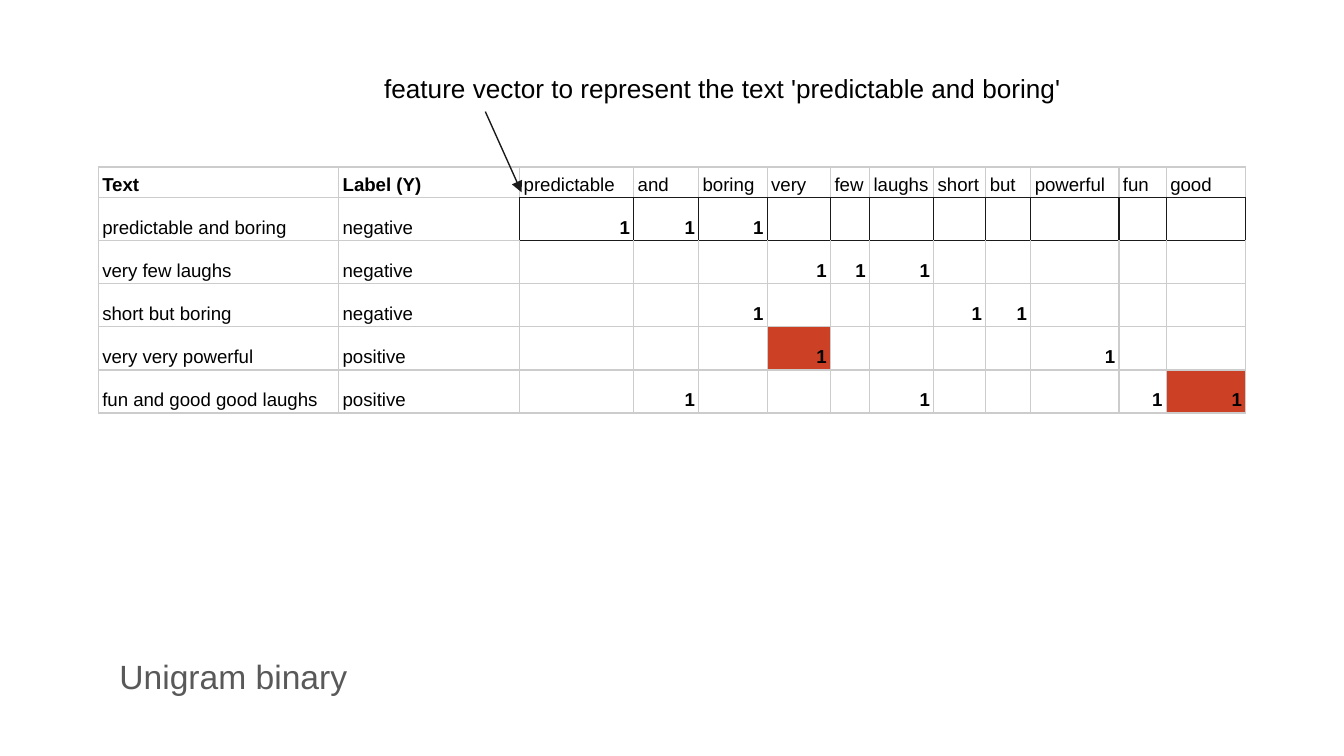
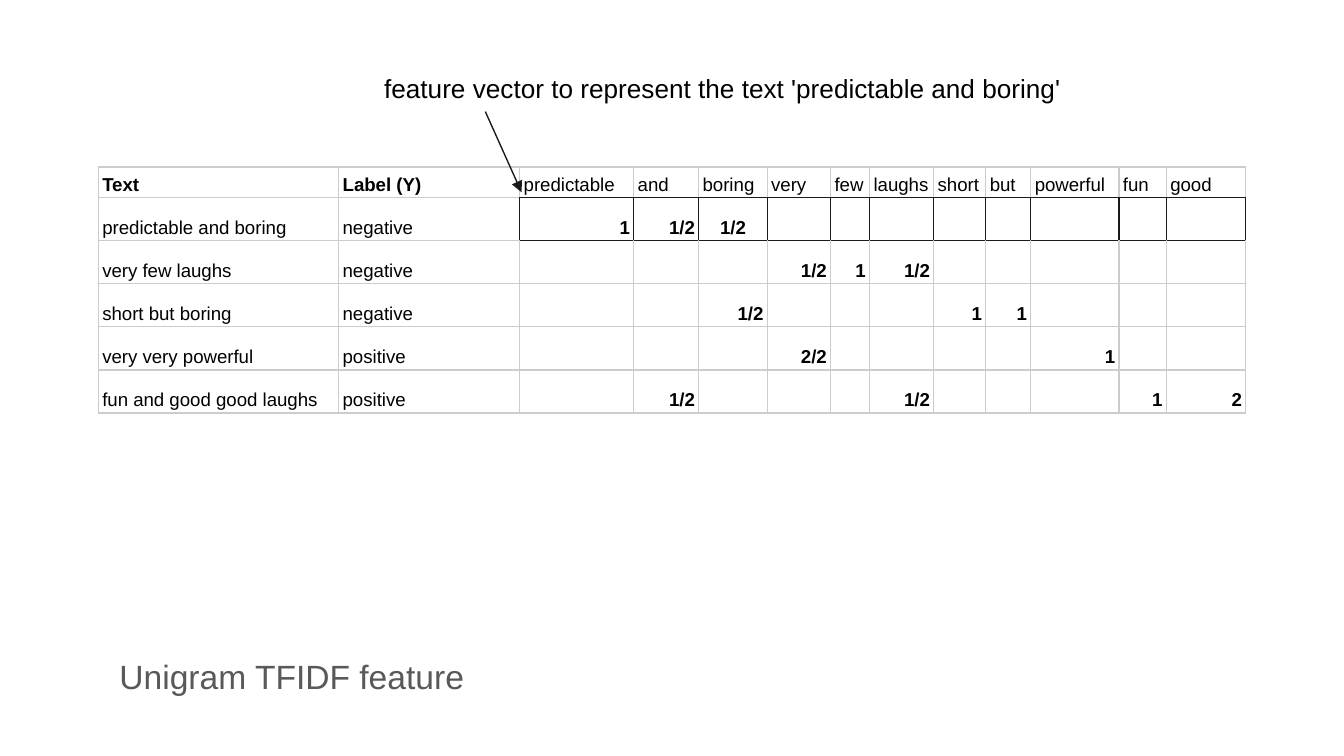
from dataclasses import dataclass

from lxml.etree import SubElement
from pptx import Presentation
from pptx.dml.color import RGBColor as RGB
from pptx.enum.shapes import MSO_CONNECTOR as Link
from pptx.enum.text import MSO_ANCHOR as Anchor, MSO_AUTO_SIZE as Fit, PP_ALIGN as Align
from pptx.oxml import parse_xml
from pptx.oxml.ns import nsdecls, qn
from pptx.util import Pt

# Content
NOTE = "feature vector to represent the text 'predictable and boring'"
HEADS = ["Text", "Label (Y)"]
WORDS = ["predictable", "and", "boring", "very", "few", "laughs",
         "short", "but", "powerful", "fun", "good"]
TEXTS = [
    ("predictable and boring", "negative"),
    ("very few laughs", "negative"),
    ("short but boring", "negative"),
    ("very very powerful", "positive"),
    ("fun and good good laughs", "positive"),
]
# One dict of weights per text; "red" and "mid" list (text row, word) cells
SLIDES = [
    {
        "title": "Unigram binary",
        "weights": [
            {"predictable": "1", "and": "1", "boring": "1"},
            {"very": "1", "few": "1", "laughs": "1"},
            {"boring": "1", "short": "1", "but": "1"},
            {"very": "1", "powerful": "1"},
            {"and": "1", "laughs": "1", "fun": "1", "good": "1"},
        ],
        "red": {(4, "very"), (5, "good")},
        "mid": set(),
    },
    {
        "title": "Unigram TFIDF feature",
        "weights": [
            {"predictable": "1", "and": "1/2", "boring": "1/2"},
            {"very": "1/2", "few": "1", "laughs": "1/2"},
            {"boring": "1/2", "short": "1", "but": "1"},
            {"very": "2/2", "powerful": "1"},
            {"and": "1/2", "laughs": "1/2", "fun": "1", "good": "2"},
        ],
        "red": set(),
        "mid": {(1, "boring")},
    },
]


@dataclass(frozen=True)
class Theme:
    font: str = "Arial"
    black: str = "000000"
    gray: str = "595959"
    grid: str = "CCCCCC"
    dark: str = "1A1A1A"
    red: str = "CC4125"
    title: float = 18
    note: float = 14
    cell: float = 10
    rule: float = 0.75


T = Theme()

# Layout, in points
PAGE = (720, 405)
TITLE = (56.9, 344.2, 606.2, 36)
LABEL = (198.7, 31.7, 441.4, 31.7)
ARROW = (260, 59.8, 279.4, 103)
LEFT, TOP = 52.7, 89.5
COLS = [128.8, 97, 61.1, 34.8, 36.7, 34, 20.9, 34.4, 27.9, 24.1, 47.2, 25.4, 42.6]
ROWS = [16.4] + [23.1] * len(TEXTS)
BOX = 1  # the table row framed as the feature vector


def style(para, size, color, bold=False):
    font = para.font
    font.name, font.size, font.bold = T.font, Pt(size), bold
    font.color.rgb = RGB.from_string(color)


def add_text(slide, place, text, size, color, anchor, fit):
    frame = slide.shapes.add_textbox(*map(Pt, place)).text_frame
    frame.word_wrap, frame.auto_size = True, fit
    frame.vertical_anchor = anchor
    frame.margin_left = frame.margin_right = Pt(7.2)
    frame.margin_top = frame.margin_bottom = Pt(7.2)
    frame.text = text
    style(frame.paragraphs[0], size, color)


def edges(row, col):
    """Colour of each side of a cell: dark where it touches the framed row."""
    first = len(HEADS)
    inside = row == BOX and col >= first
    above = row == BOX - 1 and col >= first
    below = row == BOX + 1 and col >= first
    before = row == BOX and col == first - 1
    dark = {"L": inside, "R": inside or before,
            "T": inside or below, "B": inside or above}
    return {side: T.dark if on else T.grid for side, on in dark.items()}


def add_edges(cell, sides):
    props = cell._tc.get_or_add_tcPr()
    for i, (side, color) in enumerate(sides.items()):
        props.insert(i, parse_xml(
            f'<a:ln{side} {nsdecls("a")} w="{Pt(T.rule)}"><a:solidFill>'
            f'<a:srgbClr val="{color}"/></a:solidFill></a:ln{side}>'))


def add_grid(slide, data):
    frame = slide.shapes.add_table(len(ROWS), len(COLS), Pt(LEFT), Pt(TOP),
                                   Pt(sum(COLS)), Pt(sum(ROWS)))
    table = frame.table
    table.first_row = table.horz_banding = False
    for col, width in zip(table.columns, COLS):
        col.width = Pt(width)
    for row, height in zip(table.rows, ROWS):
        row.height = Pt(height)

    lines = [HEADS + WORDS]
    for text, weights in zip(TEXTS, data["weights"]):
        lines.append([*text, *(weights.get(word, "") for word in WORDS)])

    for r, line in enumerate(lines):
        for c, text in enumerate(line):
            cell, key = table.cell(r, c), (r, lines[0][c])
            cell.margin_left = cell.margin_right = Pt(2.1)
            cell.margin_top = cell.margin_bottom = Pt(1.4)
            cell.vertical_anchor = Anchor.BOTTOM
            cell.text = text
            para = cell.text_frame.paragraphs[0]
            para.line_spacing = 1.15
            weight = r > 0 and c >= len(HEADS)
            head = r == 0 and c < len(HEADS)
            style(para, T.cell, T.black, weight or head)
            if weight:
                para.alignment = Align.CENTER if key in data["mid"] else Align.RIGHT
            if key in data["red"]:
                cell.fill.solid()
                cell.fill.fore_color.rgb = RGB.from_string(T.red)
            else:
                cell.fill.background()
            add_edges(cell, edges(r, c))


def add_arrow(slide):
    arrow = slide.shapes.add_connector(Link.STRAIGHT, *map(Pt, ARROW))
    arrow.line.color.rgb = RGB.from_string(T.dark)
    arrow.line.width = Pt(T.rule)
    SubElement(arrow.line._get_or_add_ln(), qn("a:tailEnd"), type="triangle")
    SubElement(arrow._element.spPr, qn("a:effectLst"))


def main():
    deck = Presentation()
    deck.slide_width, deck.slide_height = map(Pt, PAGE)
    for data in SLIDES:
        slide = deck.slides.add_slide(deck.slide_layouts[6])
        add_text(slide, TITLE, data["title"], T.title, T.gray, Anchor.MIDDLE, Fit.NONE)
        add_grid(slide, data)
        add_arrow(slide)
        add_text(slide, LABEL, NOTE, T.note, T.black, Anchor.TOP, Fit.SHAPE_TO_FIT_TEXT)
    deck.save("out.pptx")


if __name__ == "__main__":
    main()
